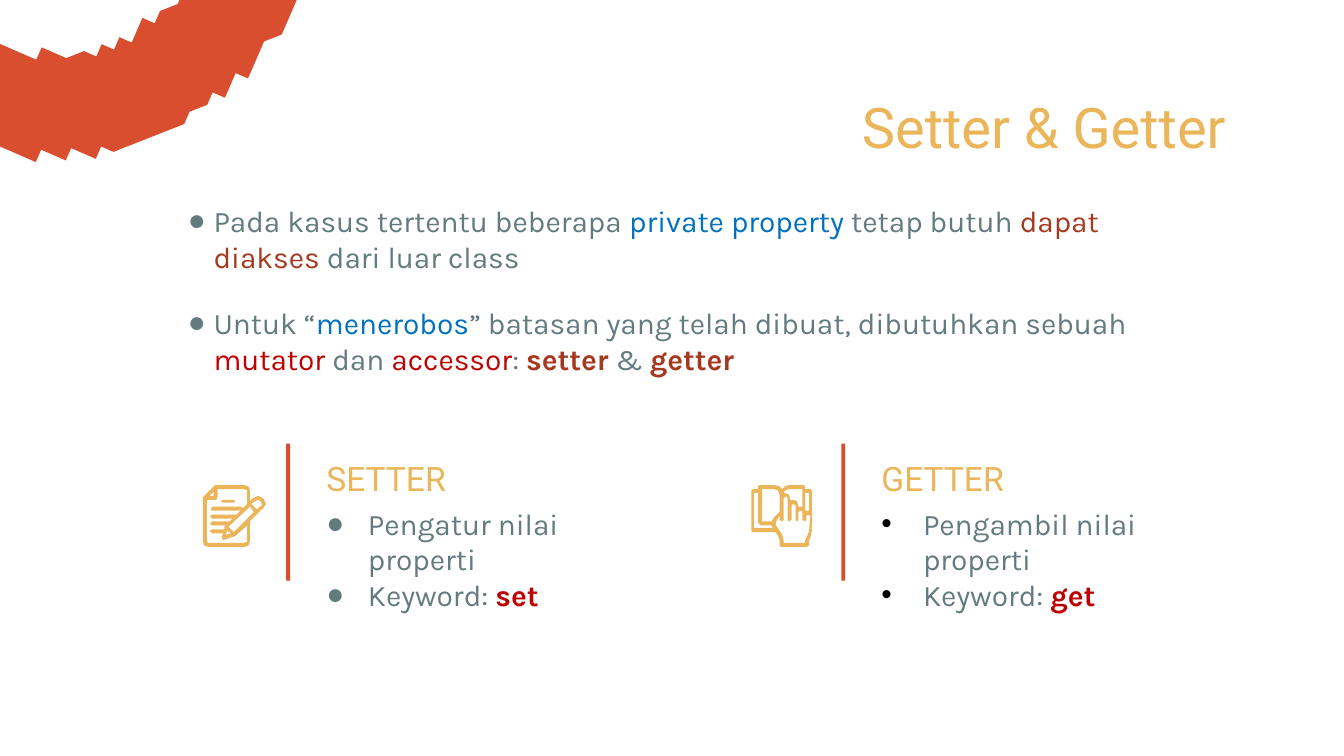
from dataclasses import dataclass
from math import cos, radians, sin

from lxml import etree
from pptx import Presentation
from pptx import util as u
from pptx.dml.color import RGBColor
from pptx.enum import shapes, text
from pptx.oxml.ns import qn


@dataclass(frozen=True)
class Theme:
    gold: str = "EBB55A"
    orange: str = "D84E2E"
    slate: str = "637B7F"
    blue: str = "0070C0"
    rust: str = "A6381F"
    red: str = "C00000"
    black: str = "000000"
    heading_font: str = "Roboto"
    body_font: str = "Karla"
    title_size: int = 30
    heading_size: int = 18
    body_size: int = 16
    gap_after: int = 16


THEME = Theme()
CELL = u.Inches(0.1)  # grid of 100 columns by 56.25 rows
COLUMNS, ROWS = 100, 56.25


def cells(count):
    return u.Emu(round(count * CELL))


def add_text(paragraph, words, font=THEME.body_font, size=THEME.body_size,
             color=THEME.slate, bold=False):
    run = paragraph.add_run()
    run.text = words
    run.font.name, run.font.size, run.font.bold = font, u.Pt(size), bold
    run.font.color.rgb = RGBColor.from_string(color)


def add_bullet(paragraph, mark, color, indent):
    props = paragraph._p.get_or_add_pPr()
    props.set("marL", str(cells(indent)))
    props.set("indent", str(-cells(indent)))
    tint = etree.SubElement(props, qn("a:buClr"))
    etree.SubElement(tint, qn("a:srgbClr"), val=color)
    etree.SubElement(props, qn("a:buFont"), typeface="Arial")
    etree.SubElement(props, qn("a:buChar"), char=mark)


class Page:
    def __init__(self, slide, theme):
        self.slide, self.theme = slide, theme

    def paint(self, shape, color):
        shape.shadow.inherit = False
        shape.fill.solid()
        shape.fill.fore_color.rgb = RGBColor.from_string(color)
        shape.line.fill.background()
        return shape

    def outline(self, contours, color, left=0, top=0, unit=1):
        """One filled shape from closed contours; unit is cells per point step."""
        first, *others = contours
        builder = self.slide.shapes.build_freeform(*first[0], scale=unit * CELL)
        builder.add_line_segments(first[1:])
        for contour in others:
            builder.move_to(*contour[0])
            builder.add_line_segments(contour[1:])
        return self.paint(builder.convert_to_shape(cells(left), cells(top)), color)

    def quarter_ring(self, center, outer, inner, rotation):
        def arc(radius, angles):
            return [(center[0] + radius * cos(radians(a)),
                     center[1] + radius * sin(radians(a))) for a in angles]
        rim = arc(outer, range(180, 271, 2)) + arc(inner, range(270, 179, -2))
        self.outline([rim], self.theme.orange).rotation = rotation

    def bar(self, left, top, width, height):
        box = map(cells, (left, top, width, height))
        self.paint(self.slide.shapes.add_shape(shapes.MSO_SHAPE.RECTANGLE, *box),
                   self.theme.orange)

    def frame(self, left, top, width, height):
        box = self.slide.shapes.add_textbox(*map(cells, (left, top, width, height)))
        frame = box.text_frame
        frame.word_wrap = True
        frame.margin_left = frame.margin_right = cells(1)
        frame.margin_top = frame.margin_bottom = cells(1)
        return frame

    def heading(self, words, box, size, align=text.PP_ALIGN.LEFT):
        paragraph = self.frame(*box).paragraphs[0]
        paragraph.alignment = align
        add_text(paragraph, words, font=self.theme.heading_font, size=size,
                 color=self.theme.gold)

    def bullets(self, items, box, indent, mark="●", mark_color=THEME.slate, after=0):
        frame = self.frame(*box)
        for index, item in enumerate(items):
            paragraph = frame.add_paragraph() if index else frame.paragraphs[0]
            add_bullet(paragraph, mark, mark_color, indent)
            paragraph.space_after = u.Pt(after)
            for words, style in item:
                add_text(paragraph, words, **style)


# Emphasis styles
PLAIN = {}
BLUE, RUST, RED = ({"color": c} for c in (THEME.blue, THEME.rust, THEME.red))
BOLD_RUST, BOLD_RED = RUST | {"bold": True}, RED | {"bold": True}

REASONS = [
    [("Pada kasus tertentu beberapa ", PLAIN), ("private property ", BLUE),
     ("tetap butuh ", PLAIN), ("dapat diakses", RUST), (" dari luar class", PLAIN)],
    [("Untuk “", PLAIN), ("menerobos", BLUE),
     ("” batasan yang telah dibuat, dibutuhkan sebuah ", PLAIN), ("mutator", RED),
     (" dan ", PLAIN), ("accessor", RED), (": ", PLAIN), ("setter", BOLD_RUST),
     (" & ", PLAIN), ("getter", BOLD_RUST)],
]

# Icon contours, in tenths of a cell
SHORT_LINE = [[(15, 11), (13, 12), (15, 13), (23, 13), (24, 12), (23, 11)]]
WRITING = [
    # sheet and pencil edge
    [(9, 0), (1, 8), (0, 9), (0, 42), (1, 45), (4, 46), (31, 46), (34, 45), (35, 42),
     (35, 27), (45, 17), (47, 14), (45, 10), (41, 8), (37, 10), (35, 12), (35, 4),
     (34, 1), (31, 0)],
    # folded corner, pencil end, shaft and tip
    [(8, 5), (8, 8), (5, 8)],
    [(41, 11), (43, 12), (44, 15), (40, 18), (36, 14), (39, 12)],
    [(35, 16), (38, 20), (23, 35), (19, 31)],
    [(18, 34), (21, 36), (17, 37)],
    # page with written lines
    [(31, 3), (33, 4), (33, 14), (30, 17), (28, 16), (7, 16), (6, 18), (7, 19),
     (28, 19), (25, 22), (7, 22), (5, 23), (7, 25), (22, 25), (20, 27), (7, 27),
     (5, 29), (7, 30), (17, 30), (16, 31), (16, 33), (7, 33), (5, 34), (7, 36),
     (15, 36), (14, 39), (15, 41), (24, 38), (33, 30), (33, 42), (31, 43), (4, 43),
     (3, 42), (3, 11), (10, 11), (11, 9), (11, 3)],
]
READING = [
    # book and hand edge
    [(6, 0), (5, 1), (5, 3), (1, 3), (0, 4), (0, 34), (1, 35), (18, 35), (20, 38),
     (21, 41), (21, 45), (22, 46), (41, 46), (43, 45), (43, 41), (44, 39), (45, 34),
     (45, 4), (44, 3), (40, 3), (40, 1), (39, 0), (28, 0), (25, 1), (23, 3), (21, 1),
     (17, 0)],
    # right page and cover, left page and cover
    [(38, 3), (38, 16), (35, 16), (34, 12), (31, 11), (29, 11), (28, 7), (25, 6),
     (24, 6), (25, 4), (28, 3)],
    [(43, 6), (43, 19), (40, 19), (40, 6)],
    [(17, 3), (20, 4), (21, 7), (21, 20), (17, 24), (15, 27), (8, 27), (8, 3)],
    [(5, 6), (5, 28), (7, 30), (15, 30), (16, 32), (2, 32), (2, 6)],
    # hand
    [(26, 8), (27, 10), (27, 26), (28, 27), (30, 26), (30, 15), (31, 14), (33, 15),
     (33, 26), (34, 27), (35, 26), (35, 20), (37, 19), (38, 20), (38, 26), (40, 27),
     (41, 26), (41, 23), (42, 22), (44, 23), (43, 34), (42, 37), (40, 41), (40, 43),
     (24, 43), (24, 41), (23, 37), (19, 31), (18, 29), (19, 26), (21, 23), (21, 26),
     (23, 27), (24, 26), (24, 10)],
]

# Name, task, keyword, text width, bullet, bullet colour, icon column, icon shapes
ACCESSORS = [
    ("SETTER", "Pengatur nilai properti", "set", 26.4, "●", THEME.slate,
     15.1, [SHORT_LINE, WRITING]),
    ("GETTER", "Pengambil nilai properti", "get", 28.6, "•", THEME.black,
     55.9, [READING]),
]


def main():
    deck = Presentation()
    deck.slide_width, deck.slide_height = cells(COLUMNS), cells(ROWS)
    page = Page(deck.slides.add_slide(deck.slide_layouts[6]), THEME)

    # Corner ring
    page.quarter_ring(center=(18.9, 15), outer=19.7, inner=12.2, rotation=203.5)

    # Title and reasons
    page.bullets(REASONS, (13, 14.1, 73.9, 15.4), indent=1.9, after=THEME.gap_after)
    page.heading("Setter & Getter", (26.4, 5.9, 65.8, 6.3), THEME.title_size,
                 align=text.PP_ALIGN.RIGHT)

    # Setter and getter side by side
    for index, (name, task, keyword, width, mark, tint, icon_left, icon) in enumerate(ACCESSORS):
        left = 21.3 + 41.3 * index
        page.bullets([[(task, PLAIN)], [("Keyword: ", PLAIN), (keyword, BOLD_RED)]],
                     (left + 2, 36.6, width, 6.3), indent=3.1, mark=mark, mark_color=tint)
        page.bar(left, 33, 0.3, 10.2)
        page.heading(name, (left + 2, 33.1, 11.1, 3.7), THEME.heading_size)
        for contours in icon:
            page.outline(contours, THEME.gold, icon_left, 36.1, unit=0.1)

    deck.save("out.pptx")


if __name__ == "__main__":
    main()
